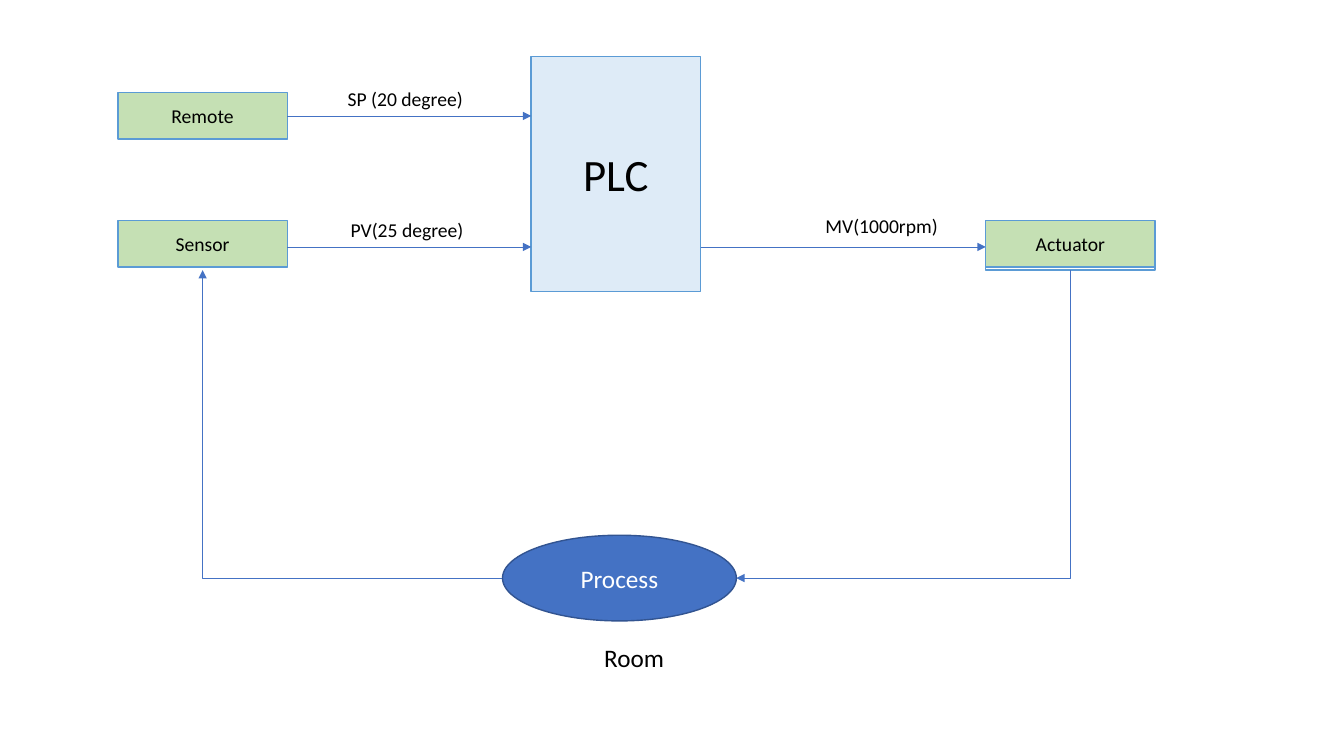
from collections import namedtuple

from lxml.etree import SubElement
from pptx import Presentation
from pptx.dml.color import RGBColor
from pptx.enum.shapes import MSO_CONNECTOR as Connector, MSO_SHAPE as Shape
from pptx.enum.text import MSO_ANCHOR as Anchor, MSO_AUTO_SIZE as AutoSize, PP_ALIGN as Align
from pptx.oxml.ns import qn
from pptx.util import Inches, Pt

COLORS = {"black": "000000", "white": "FFFFFF", "green": "C5E0B4", "pale": "DEEBF7",
          "edge": "5B9BD5", "blue": "4472C4", "navy": "325491"}
FONT = "Calibri"
COLUMNS, ROWS = 80, 45
WIDTH, HEIGHT = Inches(13.33), Inches(7.5)
DEVICE_WIDTH, DEVICE_HEIGHT = 10.08, 2.76
SMALL, MEDIUM, LARGE = 14, 18, 32

Box = namedtuple("Box", "left top width height")


def columns(count):
    return round(count * WIDTH / COLUMNS)


def rows(count):
    return round(count * HEIGHT / ROWS)


def on_slide(box):
    return columns(box.left), rows(box.top), columns(box.width), rows(box.height)


def color(name):
    return RGBColor.from_string(COLORS[name])


def write(shape, text, size, ink):
    run = shape.text_frame.paragraphs[0].add_run()
    run.text = text
    run.font.name, run.font.size = FONT, Pt(size)
    run.font.color.rgb = color(ink)


def add_block(slide, box, text="", size=SMALL, fill="green", edge="edge",
              ink="black", kind=Shape.RECTANGLE):
    block = slide.shapes.add_shape(kind, *on_slide(box))
    block.shadow.inherit = False
    block.fill.solid()
    block.fill.fore_color.rgb = color(fill)
    block.line.color.rgb = color(edge)
    block.line.width = Pt(1)
    block.text_frame.vertical_anchor = Anchor.MIDDLE
    block.text_frame.paragraphs[0].alignment = Align.CENTER
    if text:
        write(block, text, size, ink)


def add_label(slide, box, text, size=SMALL):
    label = slide.shapes.add_textbox(*on_slide(box))
    label.text_frame.word_wrap = False
    label.text_frame.auto_size = AutoSize.SHAPE_TO_FIT_TEXT
    write(label, text, size, "black")


def add_arrow(slide, start, end, kind=Connector.STRAIGHT):
    arrow = slide.shapes.add_connector(kind, columns(start[0]), rows(start[1]),
                                       columns(end[0]), rows(end[1]))
    arrow.line.color.rgb = color("blue")
    arrow.line.width = Pt(0.5)
    SubElement(arrow.line._get_or_add_ln(), qn("a:tailEnd"), type="triangle")
    SubElement(arrow._element.spPr, qn("a:effectLst"))
    return arrow


def add_corner_arrow(slide, start, end, rotation):
    """Arrow with one corner: 90 goes down then left, 180 goes left then up."""
    arrow = add_arrow(slide, start, end, Connector.ELBOW)
    properties = arrow._element.spPr
    properties.find(qn("a:prstGeom")).set("prst", "bentConnector2")
    frame = properties.find(qn("a:xfrm"))
    for flip in ("flipH", "flipV"):
        frame.attrib.pop(flip, None)
    frame.set("rot", str(rotation * 60000))
    if rotation == 90:
        width, height = arrow.width, arrow.height
        arrow.left += (width - height) // 2
        arrow.top += (height - width) // 2
        arrow.width, arrow.height = height, width


def draw_input(slide, box, name, signal, arrow_drop, label):
    """Device at the left of the box, and its signal running to the right edge."""
    add_block(slide, Box(box.left, box.top, DEVICE_WIDTH, box.height), name)
    y = box.top + arrow_drop
    add_arrow(slide, (box.left + DEVICE_WIDTH, y), (box.left + box.width, y))
    add_label(slide, Box(box.left + label.left, box.top + label.top,
                         label.width, label.height), signal)


def draw_output(slide, box):
    """Signal from the left edge of the box to the actuator at its right."""
    left = box.left + box.width - DEVICE_WIDTH
    front = Box(left, box.top, DEVICE_WIDTH, box.height)
    add_block(slide, front._replace(top=box.top + 0.18), fill="white")
    add_arrow(slide, (box.left, box.top + 1.56), (left, box.top + 1.56))
    add_label(slide, Box(box.left + 6.84, box.top - 0.72, 8.82, 2.04), "MV(1000rpm)")
    add_block(slide, front, "Actuator")


def draw_feedback(slide, box):
    """Loop from the top right of the box through the process to its top left."""
    process = Box(box.left + 17.85, box.top + 15.78, 13.92, 5.1)
    middle = process.top + process.height / 2
    add_corner_arrow(slide, (box.left + box.width, box.top),
                     (process.left + process.width, middle), 90)
    add_corner_arrow(slide, (process.left, middle), (box.left, box.top), 180)
    add_block(slide, process, "Process", MEDIUM, "blue", "navy", "white", Shape.OVAL)
    add_label(slide, Box(process.left + 5.46, process.top + 6.06, 4.8, 2.4), "Room", MEDIUM)


def draw_control_loop(slide):
    controller = Box(31.62, 3.36, DEVICE_WIDTH, 14)
    add_block(slide, controller, "PLC", LARGE, "pale")
    left, device_row, pitch = 7.02, 13.14, 7.62
    reach = controller.left - left
    draw_input(slide, Box(left, device_row - pitch, reach, DEVICE_HEIGHT), "Remote",
               "SP (20 degree)", 1.38, Box(13.08, -0.66, 8.16, 2.04))
    draw_input(slide, Box(left, device_row, reach, DEVICE_HEIGHT), "Sensor",
               "PV(25 degree)", 1.56, Box(13.26, -0.48, 8, 2.04))
    right = controller.left + controller.width
    draw_output(slide, Box(right, device_row, 27.06, DEVICE_HEIGHT))
    draw_feedback(slide, Box(left + DEVICE_WIDTH / 2, device_row + 2.94, 51.66, 24))


def main():
    presentation = Presentation()
    presentation.slide_width, presentation.slide_height = WIDTH, HEIGHT
    draw_control_loop(presentation.slides.add_slide(presentation.slide_layouts[6]))
    presentation.save("out.pptx")


if __name__ == "__main__":
    main()
